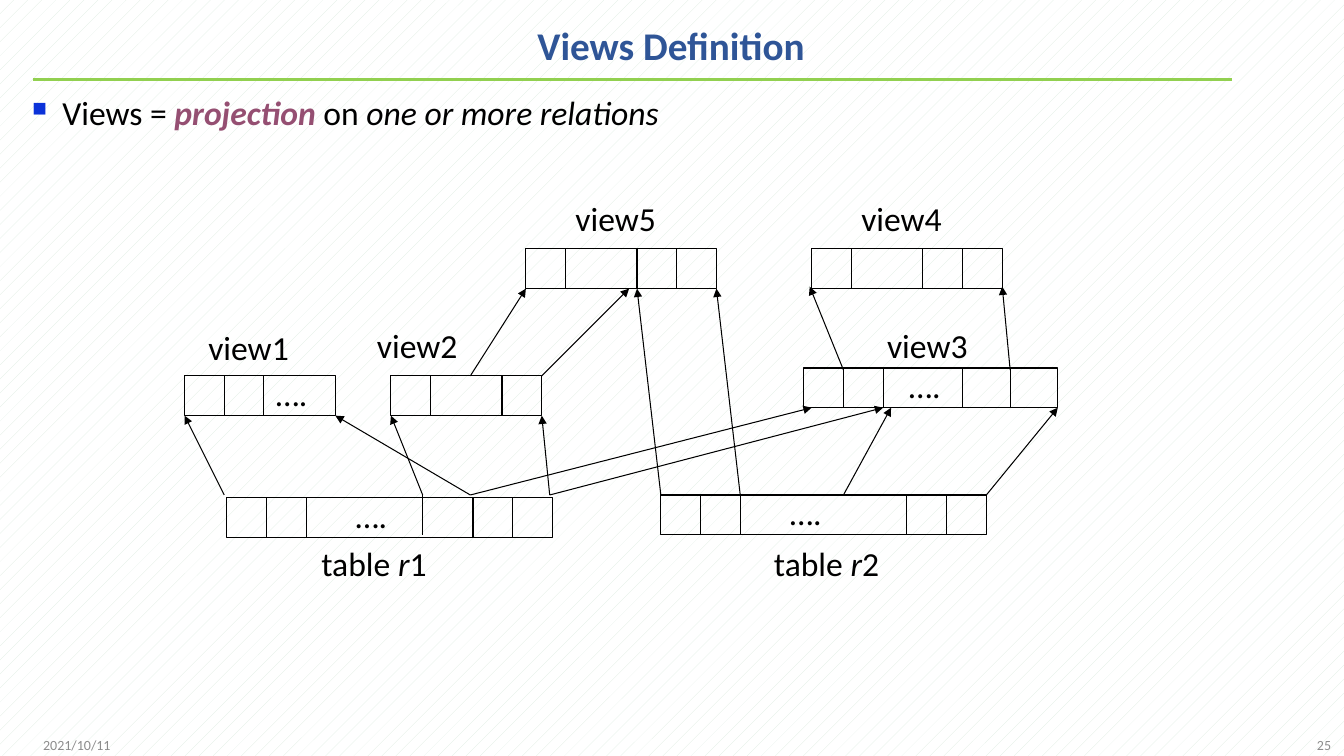
from lxml import etree
from pptx import Presentation
from pptx.dml.color import RGBColor
from pptx.enum.dml import MSO_PATTERN
from pptx.enum.shapes import MSO_CONNECTOR, MSO_SHAPE
from pptx.enum.text import MSO_ANCHOR, PP_ALIGN
from pptx.oxml.ns import qn
from pptx.util import Cm, Inches, Pt

PERCENT_5 = MSO_PATTERN.PERCENT_5
STRAIGHT = MSO_CONNECTOR.STRAIGHT
RECTANGLE = MSO_SHAPE.RECTANGLE
TOP, MIDDLE = MSO_ANCHOR.TOP, MSO_ANCHOR.MIDDLE
LEFT, CENTER, RIGHT = PP_ALIGN.LEFT, PP_ALIGN.CENTER, PP_ALIGN.RIGHT

COLORS = {
    "paper": "FFFFFF", "hatch": "DCECE0", "rule": "92D050", "title": "2F5597",
    "ink": "000000", "bullet": "0B32D9", "keyword": "954F72", "footer": "8C8C8C",
}
BODY = {"name": "Calibri", "size": Pt(24)}
ITALIC = {**BODY, "italic": True}
KEYWORD = {**BODY, "bold": True, "italic": True}
TITLE = {"name": "Calibri", "size": Pt(28), "bold": True}
FOOTER = {"name": "Calibri", "size": Pt(10)}

CELL = Cm(1)
DIAGRAM_BOX = (Inches(1.83), Inches(2.47))

RELATIONS = [
    (1.07, 6.27, (1, 1, 4.2, 1, 1)),
    (12, 6.2, (1, 1, 4.2, 1, 1)),
    (0, 3.2, (1, 1, 1.8)),
    (5.2, 3.2, (1, 1.8, 1)),
    (15.6, 3, (1, 1, 2, 1.2, 1.2)),
    (8.6, 0, (1, 1.8, 1, 1)),
    (15.8, 0, (1, 1.8, 1, 1)),
]
VIEW_LABELS = [
    ("view1", 0.35, 1.85), ("view2", 4.6, 1.8), ("view3", 17.45, 1.78),
    ("view4", 16.8, -1.4), ("view5", 9.6, -1.4),
]
TABLE_LABELS = [("1", 3.2, 7.27), ("2", 14.6, 7.27)]
ELLIPSES = [(4.06, 6.07), (15, 6), (2.05, 3), (18, 2.8)]
ARROWS = [
    (1, 6.2, 0, 4.2), (7.2, 6.2, 3.8, 4.2),
    (6, 6.2, 5.2, 4.2), (9.2, 6.2, 9, 4.2),
    (7.2, 6.2, 15.8, 4), (9.2, 6.2, 17.6, 4),
    (16.6, 6.2, 17.8, 4), (20.2, 6.2, 22, 4),
    (7.2, 3.2, 8.6, 1), (9, 3.2, 11.2, 1),
    (12, 6.2, 11.4, 1), (14, 6.2, 13.4, 1),
    (16.6, 3.05, 15.75, 0.95), (20.8, 3.05, 20.6, 0.95),
]
DIVIDER = (6, 6.2, 6, 7.2)


def color(name):
    return RGBColor.from_string(COLORS[name])


def add_text(slide, box, runs, align=LEFT, anchor=TOP, wrap=True):
    frame = slide.shapes.add_textbox(*box).text_frame
    frame.word_wrap = wrap
    frame.vertical_anchor = anchor
    paragraph = frame.paragraphs[0]
    paragraph.alignment = align
    for text, formats, color_name in runs:
        run = paragraph.add_run()
        run.text = text
        for attribute, value in formats.items():
            setattr(run.font, attribute, value)
        run.font.color.rgb = color(color_name)
    return paragraph


def add_line(slide, start, end, color_name="ink", width=0.75, arrow=False):
    connector = slide.shapes.add_connector(STRAIGHT, *start, *end)
    connector.line.color.rgb = color(color_name)
    connector.line.width = Pt(width)
    if arrow:
        outline = connector.line._get_or_add_ln()
        etree.SubElement(outline, qn("a:tailEnd"), type="triangle")
    etree.SubElement(connector._element.spPr, qn("a:effectLst"))


def add_bullet(paragraph):
    properties = paragraph._p.get_or_add_pPr()
    properties.set("marL", str(Inches(0.3)))
    properties.set("indent", str(Inches(-0.3)))
    bullet_color = etree.SubElement(properties, qn("a:buClr"))
    etree.SubElement(bullet_color, qn("a:srgbClr"), val=COLORS["bullet"])
    etree.SubElement(properties, qn("a:buSzPct"), val="60000")
    etree.SubElement(properties, qn("a:buChar"), char="■")


def add_header(slide, box):
    left, top, width, height = box
    paragraph = add_text(slide, box, [("Views Definition", TITLE, "title")], CENTER, MIDDLE)
    paragraph.line_spacing = 0.9
    rule_top = top + Inches(0.7)
    add_line(slide, (left, rule_top), (left + int(width * 0.94), rule_top), "rule", 2.25)


def add_statement(slide, box):
    paragraph = add_text(slide, box, [
        ("Views = ", BODY, "ink"),
        ("projection ", KEYWORD, "keyword"),
        ("on ", BODY, "ink"),
        ("one or more relations", ITALIC, "ink"),
    ])
    add_bullet(paragraph)


def add_diagram(slide, box):
    left, top = box

    def place(column, row):
        return left + int(column * CELL), top + int(row * CELL)

    def add_label(column, row, columns, runs):
        label_box = (*place(column, row), int(columns * CELL), int(1.28 * CELL))
        add_text(slide, label_box, runs, wrap=False)

    for column, row, widths in RELATIONS:
        for width in widths:
            cell = slide.shapes.add_shape(RECTANGLE, *place(column, row), int(width * CELL), CELL)
            cell.shadow.inherit = False
            cell.fill.background()
            cell.line.color.rgb = color("ink")
            cell.line.width = Pt(0.75)
            column += width
    for column, row in ELLIPSES:
        add_label(column, row, 1.3, [("….", BODY, "ink")])
    for name, column, row in VIEW_LABELS:
        add_label(column, row, 2.6, [(name, BODY, "ink")])
    for number, column, row in TABLE_LABELS:
        runs = [("table ", BODY, "ink"), ("r", ITALIC, "ink"), (number, BODY, "ink")]
        add_label(column, row, 3.2, runs)
    add_line(slide, place(*DIVIDER[:2]), place(*DIVIDER[2:]))
    for arrow in ARROWS:
        add_line(slide, place(*arrow[:2]), place(*arrow[2:]), arrow=True)


def add_footer(slide, box):
    left, top, width, height = box
    part_width = Inches(3)
    add_text(slide, (left, top, part_width, height),
             [("2021/10/11", FOOTER, "footer")], LEFT, MIDDLE)
    add_text(slide, (left + width - part_width, top, part_width, height),
             [("25", FOOTER, "footer")], RIGHT, MIDDLE)


def main():
    presentation = Presentation()
    presentation.slide_width = Inches(13.33)
    presentation.slide_height = Inches(7.5)
    slide = presentation.slides.add_slide(presentation.slide_layouts[6])
    background = slide.background.fill
    background.patterned()
    background.pattern = PERCENT_5
    background.fore_color.rgb = color("hatch")
    background.back_color.rgb = color("paper")
    add_header(slide, (Inches(0.33), Inches(0.09), Inches(12.65), Inches(0.77)))
    add_statement(slide, (Inches(0.22), Inches(0.86), Inches(12.94), Inches(0.6)))
    add_diagram(slide, DIAGRAM_BOX)
    add_footer(slide, (Inches(0.33), Inches(7.19), Inches(12.97), Inches(0.4)))
    presentation.save("out.pptx")


if __name__ == "__main__":
    main()
